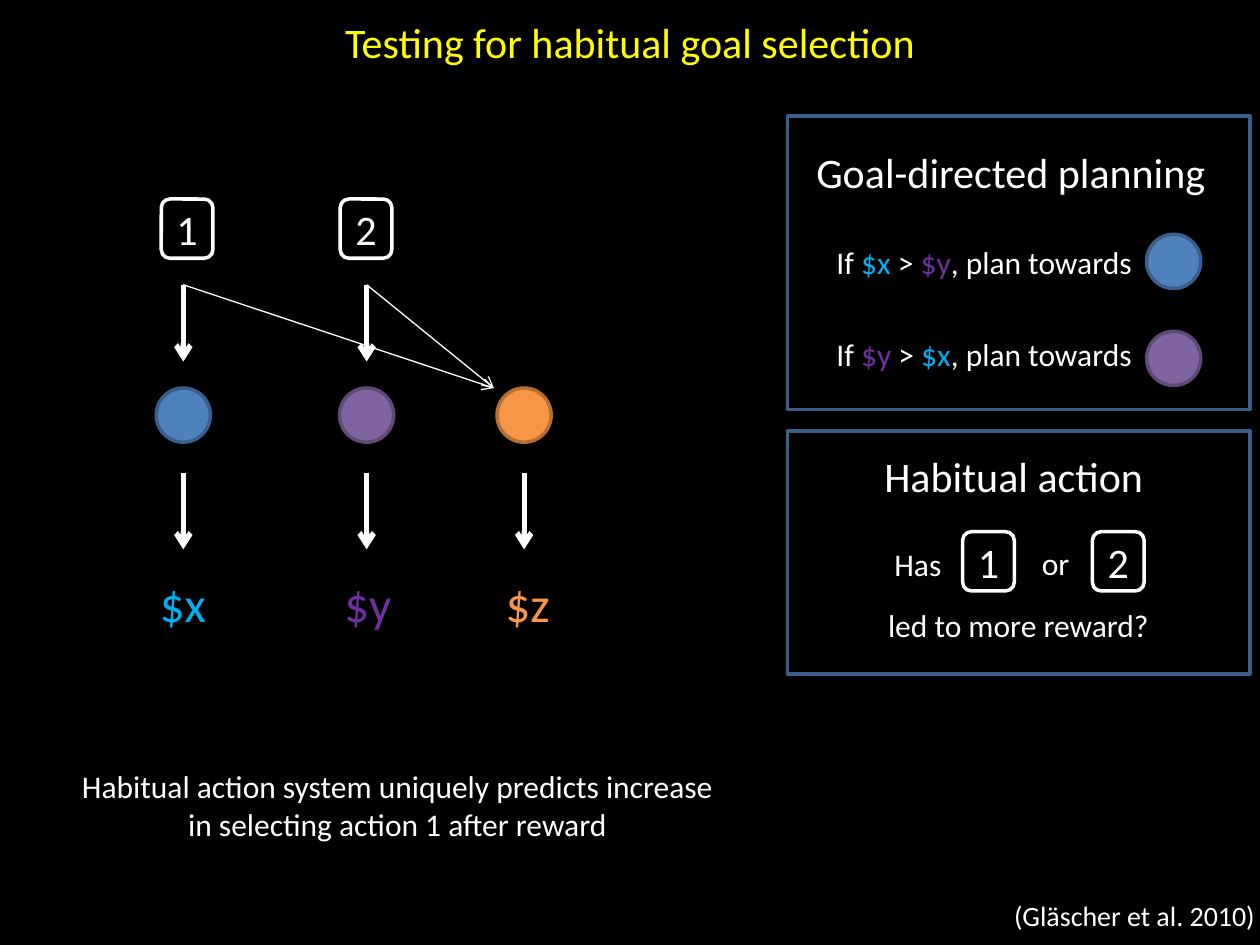
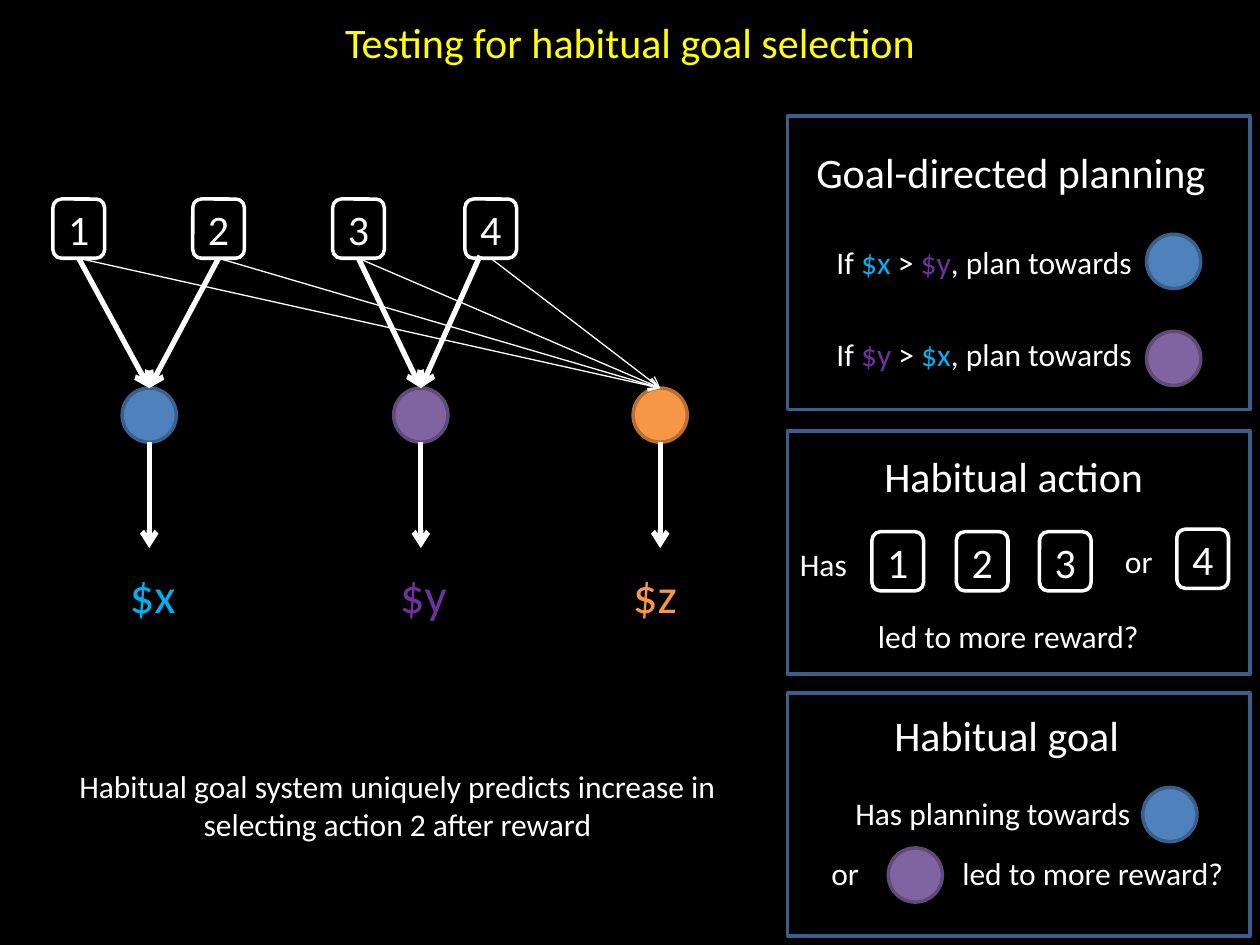
from dataclasses import dataclass
from typing import Any

from lxml import etree
from pptx import Presentation
from pptx.dml.color import RGBColor
from pptx.enum.shapes import MSO_CONNECTOR, MSO_SHAPE
from pptx.enum.text import MSO_ANCHOR, MSO_AUTO_SIZE, PP_ALIGN
from pptx.oxml.ns import qn
from pptx.shapes.autoshape import Shape
from pptx.shapes.connector import Connector
from pptx.slide import Slide
from pptx.util import Inches, Pt

STRAIGHT = MSO_CONNECTOR.STRAIGHT
ELLIPSE, RECTANGLE, ROUNDED = MSO_SHAPE.OVAL, MSO_SHAPE.RECTANGLE, MSO_SHAPE.ROUNDED_RECTANGLE
LEFT, CENTER = PP_ALIGN.LEFT, PP_ALIGN.CENTER
TOP_SITE, BOTTOM_SITE = 0, 2

BLACK = RGBColor(0x00, 0x00, 0x00)
WHITE = RGBColor(0xFF, 0xFF, 0xFF)
YELLOW = RGBColor(0xFF, 0xFF, 0x00)
BLUE = RGBColor(0x4F, 0x81, 0xBD)
DARK_BLUE = RGBColor(0x3A, 0x5F, 0x8C)
SKY = RGBColor(0x00, 0xB0, 0xF0)
PURPLE = RGBColor(0x80, 0x64, 0xA2)
DARK_PURPLE = RGBColor(0x5F, 0x4A, 0x78)
VIOLET = RGBColor(0x70, 0x30, 0xA0)
ORANGE = RGBColor(0xF7, 0x96, 0x46)
DARK_ORANGE = RGBColor(0xB7, 0x6F, 0x34)

FONT = "Calibri"
SMALL, BODY, HEADING, OUTCOME = 16, 18, 24, 28
THIN, OUTLINE, THICK = 0.75, 2, 3

# The slide is a grid of 100 columns and 75 rows.
SLIDE_WIDTH, SLIDE_HEIGHT = Inches(10), Inches(7.5)
COLUMNS, ROWS = 100, 75
COLUMN, ROW = SLIDE_WIDTH / COLUMNS, SLIDE_HEIGHT / ROWS

CIRCLE_SIZE = 4.3
BOX_WIDTH, BOX_HEIGHT = 4.1, 4.7
ACTION_ROW, GOAL_ROW = 15.8, 30.8
GOAL_BOTTOM = GOAL_ROW + CIRCLE_SIZE
PANEL_LEFT, PANEL_WIDTH = 62.5, 36.7

Point = tuple[float, float]
Run = tuple[str, RGBColor]


@dataclass(frozen=True)
class Goal:
    name: str
    fill: RGBColor
    outline: RGBColor
    text: RGBColor

    @property
    def run(self) -> Run:
        return self.name, self.text


@dataclass(frozen=True)
class Label:
    text: str | tuple[Run, ...]
    column: float
    row: float
    width: float
    size: int = BODY
    color: RGBColor = WHITE
    align: PP_ALIGN = LEFT
    wrap: bool = False
    lines: int = 1


@dataclass(frozen=True)
class GoalSpot:
    """A goal's circle and the label of its outcome, each by its middle column."""
    goal: Goal
    middle: float
    label_middle: float


@dataclass(frozen=True)
class Action:
    number: int
    column: float
    row: float = ACTION_ROW


@dataclass(frozen=True)
class Panel:
    row: float
    height: float
    heading: Label


X = Goal("$x", BLUE, DARK_BLUE, SKY)
Y = Goal("$y", PURPLE, DARK_PURPLE, VIOLET)
Z = Goal("$z", ORANGE, DARK_ORANGE, ORANGE)

PLANNING = Panel(9.2, 23.3, Label("Goal-directed planning", 63.8, 11.1, 34.1, HEADING))
HABIT = Panel(34.2, 19.3, Label("Habitual action", 69.2, 35.3, 23.7, HEADING))
HABITUAL_GOAL = Panel(55, 19.3, Label("Habitual goal", 70, 55.8, 20, HEADING))
TITLE = Label("Testing for habitual goal selection", 0, 0.8, COLUMNS, HEADING, YELLOW, CENTER, True)


def assign(target: Any, values: dict[str, Any]) -> None:
    for name, value in values.items():
        setattr(target, name, value)


def across(columns: float) -> int:
    return round(columns * COLUMN)


def down(rows: float) -> int:
    return round(rows * ROW)


def write_runs(shape: Shape, runs: tuple[Run, ...], size: int, align: PP_ALIGN) -> None:
    paragraph = shape.text_frame.paragraphs[0]
    paragraph.alignment = align
    for text, color in runs:
        run = paragraph.add_run()
        run.text = text
        assign(run.font, {"name": FONT, "size": Pt(size)})
        run.font.color.rgb = color


def add_label(slide: Slide, label: Label) -> None:
    height = Inches(label.lines * label.size * 1.2 / 72 + 0.1)
    box = slide.shapes.add_textbox(
        across(label.column), down(label.row), across(label.width), height)
    assign(box.text_frame, {"word_wrap": label.wrap, "auto_size": MSO_AUTO_SIZE.SHAPE_TO_FIT_TEXT})
    runs = ((label.text, label.color),) if isinstance(label.text, str) else label.text
    write_runs(box, runs, label.size, label.align)


def add_outlined(slide: Slide, kind: MSO_SHAPE, column: float, row: float, width: float,
                 height: float, outline: RGBColor, fill: RGBColor | None = None) -> Shape:
    shape = slide.shapes.add_shape(kind, across(column), down(row), across(width), down(height))
    shape.shadow.inherit = False
    if fill is None:
        shape.fill.background()
    else:
        shape.fill.solid()
        shape.fill.fore_color.rgb = fill
    shape.line.color.rgb = outline
    shape.line.width = Pt(OUTLINE)
    return shape


def add_circle(slide: Slide, goal: Goal, column: float, row: float) -> Shape:
    return add_outlined(slide, ELLIPSE, column, row, CIRCLE_SIZE, CIRCLE_SIZE,
                        goal.outline, goal.fill)


def add_action(slide: Slide, action: Action) -> Shape:
    box = add_outlined(slide, ROUNDED, action.column, action.row, BOX_WIDTH, BOX_HEIGHT, WHITE)
    box.text_frame.vertical_anchor = MSO_ANCHOR.MIDDLE
    write_runs(box, ((str(action.number), WHITE),), HEADING, CENTER)
    return box


def add_arrow(slide: Slide, start: Point, end: Point, weight: float) -> Connector:
    arrow = slide.shapes.add_connector(
        STRAIGHT, across(start[0]), down(start[1]), across(end[0]), down(end[1]))
    arrow.line.color.rgb = WHITE
    arrow.line.width = Pt(weight)
    properties = arrow._element.spPr
    etree.SubElement(properties.get_or_add_ln(), qn("a:tailEnd"), type="arrow")
    etree.SubElement(properties, qn("a:effectLst"))
    return arrow


def join(slide: Slide, box: Shape, circle: Shape, weight: float) -> None:
    """Draw an arrow from the bottom of an action box to the top of a goal circle."""
    arrow = add_arrow(slide, (0, 0), (0, 0), weight)
    arrow.begin_connect(box, BOTTOM_SITE)
    arrow.end_connect(circle, TOP_SITE)


def add_panel(slide: Slide, panel: Panel) -> None:
    add_outlined(slide, RECTANGLE, PANEL_LEFT, panel.row, PANEL_WIDTH, panel.height, DARK_BLUE)
    add_label(slide, panel.heading)


def add_goal_spots(slide: Slide, spots: tuple[GoalSpot, ...], arrow_row: float,
                   arrow_end: float, label_row: float) -> list[Shape]:
    """Draw each goal circle, the arrow under it and its outcome."""
    circles = []
    label_width = 5.7
    for spot in spots:
        circles.append(add_circle(slide, spot.goal, spot.middle - CIRCLE_SIZE / 2, GOAL_ROW))
        add_arrow(slide, (spot.middle, arrow_row), (spot.middle, arrow_end), THICK)
        add_label(slide, Label(spot.goal.name, spot.label_middle - label_width / 2, label_row,
                               label_width, OUTCOME, spot.goal.text))
    return circles


def start_slide(presentation: Any, prediction: str) -> Slide:
    """Add a slide with the title, the two common panels and the prediction."""
    slide = presentation.slides.add_slide(presentation.slide_layouts[6])
    slide.background.fill.solid()
    slide.background.fill.fore_color.rgb = BLACK
    add_label(slide, TITLE)
    for panel in (PLANNING, HABIT):
        add_panel(slide, panel)
    for better, worse, text_row, circle_row in ((X, Y, 18.8, 18.6), (Y, X, 26.1, 26.3)):
        rule = (("If ", WHITE), better.run, (" > ", WHITE), worse.run, (", plan towards", WHITE))
        add_label(slide, Label(rule, 65.4, text_row, 25.5))
        add_circle(slide, better, 91, circle_row)
    add_label(slide, Label(prediction, 4.7, 60.4, 53.7, align=CENTER, wrap=True, lines=2))
    return slide


def add_two_action_slide(presentation: Any) -> None:
    slide = start_slide(presentation, "Habitual action system uniquely predicts increase "
                                      "in selecting action 1 after reward")
    spots = (GoalSpot(X, 14.55, 14.55), GoalSpot(Y, 29.1, 29.2), GoalSpot(Z, 41.6, 42))
    add_goal_spots(slide, spots, 37.5, 43.6, 45)
    arrow_row = 22.6
    for spot in spots[:2]:
        add_arrow(slide, (spot.middle, arrow_row), (spot.middle, 28.7), THICK)
        add_arrow(slide, (spot.middle, arrow_row), (39.2, GOAL_ROW), THIN)
    for action in (Action(1, 12.8), Action(2, 27), Action(1, 76.4, 42.2), Action(2, 86.7, 42.2)):
        add_action(slide, action)
    for label in (
        Label("Has", 70, 42.8, 6.4),
        Label("or", 81.7, 42.7, 4.2),
        Label("led to more reward?", 69.5, 47.6, 23),
        Label("(Gläscher et al. 2010)", 79.5, 70.8, 21.4, SMALL),
    ):
        add_label(slide, label)


def add_four_action_slide(presentation: Any) -> None:
    slide = start_slide(presentation, "Habitual goal system uniquely predicts increase in "
                                      "selecting action 2 after reward")
    spots = (GoalSpot(X, 11.85, 12.15), GoalSpot(Y, 33.4, 33.6), GoalSpot(Z, 52.4, 52.1))
    blue, purple, orange = add_goal_spots(slide, spots, GOAL_BOTTOM, 43.5, 44.3)
    actions = (Action(1, 4.2), Action(2, 15.3), Action(3, 26.4), Action(4, 36.9))
    boxes = [add_action(slide, action) for action in actions]
    for box in boxes:
        join(slide, box, orange, THIN)
    for box, circle in zip(boxes, (blue, blue, purple)):
        join(slide, box, circle, THICK)
    add_arrow(slide, (38.1, 20.3), (spots[1].middle, GOAL_ROW), THICK)

    for action in (Action(1, 69.2, 42.2), Action(2, 75.9, 42.2),
                   Action(3, 82.5, 42.2), Action(4, 93.4, 42)):
        add_action(slide, action)
    add_panel(slide, HABITUAL_GOAL)
    add_circle(slide, X, 90.7, 62.5)
    add_circle(slide, Y, 70.5, 67.3)
    for label in (
        Label("Has", 62.5, 42.8, 6.4),
        Label("or", 88.3, 42.5, 4.2),
        Label("led to more reward?", 68.7, 48.5, 23),
        Label("Has planning towards", 66.9, 62.5, 25.3),
        Label("or", 65, 67.3, 4.2),
        Label("led to more reward?", 75.4, 67.3, 23),
    ):
        add_label(slide, label)


def main() -> None:
    presentation = Presentation()
    assign(presentation, {"slide_width": SLIDE_WIDTH, "slide_height": SLIDE_HEIGHT})
    add_two_action_slide(presentation)
    add_four_action_slide(presentation)
    presentation.save("out.pptx")


if __name__ == "__main__":
    main()
